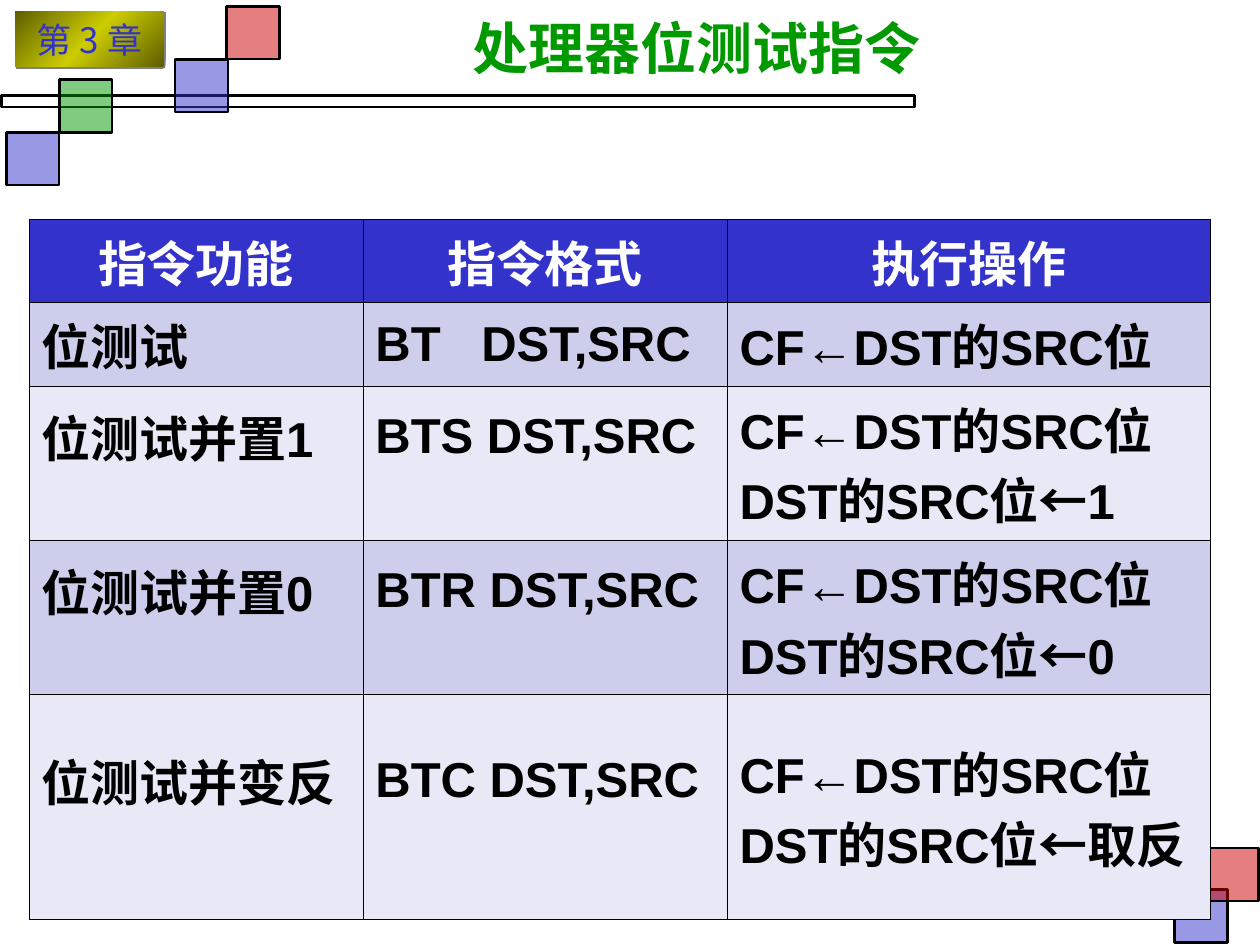
from copy import deepcopy

from lxml.etree import SubElement
from pptx import Presentation
from pptx.dml.color import RGBColor
from pptx.enum.shapes import MSO_SHAPE
from pptx.enum.text import MSO_ANCHOR, PP_ALIGN
from pptx.oxml.ns import qn
from pptx.util import Inches, Pt

BLUE, RED, GREEN, BLACK = "3333CC", "CC0000", "009900", "000000"
CJK = "Noto Sans CJK JP"
TITLE = "处理器位测试指令"
CHAPTER = "第 3 章"

SQUARE = 0.42
SQUARES = [  # left, top, colour
    (9.32, 7.06, BLUE), (9.57, 6.73, RED), (1.39, 0.47, BLUE),
    (0.05, 1.05, BLUE), (0.47, 0.63, GREEN), (1.8, 0.05, RED),
]

COLUMNS = [2.65, 2.89, 3.84]
ROW_HEIGHTS = [0.57, 0.57, 1.03, 1.03, 1.5]
FLAG = "CF←DST的SRC位"
ROWS = [
    ("指令功能", "指令格式", "执行操作"),
    ("位测试", "BT\tDST,SRC", FLAG),
    ("位测试并置1", "BTS DST,SRC", FLAG + "\nDST的SRC位←1"),
    ("位测试并置0", "BTR DST,SRC", FLAG + "\nDST的SRC位←0"),
    ("位测试并变反", "BTC DST,SRC", FLAG + "\nDST的SRC位←取反"),
]


def rgb(value):
    return RGBColor.from_string(value)


def add_run(p, text, size, color, font, bold=False):
    r = p.add_run()
    r.text = text
    r.font.size, r.font.bold, r.font.name = Pt(size), bold, font
    r.font.color.rgb = rgb(color)
    SubElement(r.font._element, qn("a:ea"), typeface=CJK)


def add_box(s, left, top, width, height, fill=None):
    """Black-outlined rectangle, empty or with a half-transparent fill."""
    sp = s.shapes.add_shape(MSO_SHAPE.RECTANGLE, Inches(left), Inches(top),
                            Inches(width), Inches(height))
    sp.shadow.inherit = False
    sp.line.color.rgb = rgb(BLACK)
    sp.line.width = Pt(1.5)
    if fill:
        sp.fill.solid()
        sp.fill.fore_color.rgb = rgb(fill)
        color = sp._element.spPr.find(qn("a:solidFill"))[0]
        SubElement(color, qn("a:alpha"), val="50000")
    else:
        sp.fill.background()
    return sp


def add_badge(s):
    sp = add_box(s, 0.12, 0.09, 1.18, 0.44)
    sp.line.fill.background()
    sp.fill.gradient()
    sp.fill.gradient_angle = 315
    stops = sp._element.spPr.find(qn("a:gradFill")).find(qn("a:gsLst"))
    stops.append(deepcopy(stops[0]))
    for stop, position, color in zip(sp.fill.gradient_stops, (0, 0.5, 1),
                                     ("5E5E00", "CCCC00", "5E5E00")):
        stop.position = position
        stop.color.rgb = rgb(color)
    effects = sp._element.spPr.find(qn("a:effectLst"))
    shadow = SubElement(effects, qn("a:outerShdw"), dist=str(Pt(1.4)),
                        dir="2700000", algn="ctr", rotWithShape="0")
    SubElement(shadow, qn("a:srgbClr"), val="808080")
    tf = sp.text_frame
    tf.vertical_anchor = MSO_ANCHOR.MIDDLE
    tf.paragraphs[0].alignment = PP_ALIGN.CENTER
    add_run(tf.paragraphs[0], CHAPTER, 20, BLUE, CJK)


def add_borders(cell):
    tcPr = cell._tc.get_or_add_tcPr()
    for i, side in enumerate(("lnL", "lnR", "lnT", "lnB")):
        ln = tcPr.makeelement(qn("a:" + side), {"w": str(Pt(0.45))})
        SubElement(SubElement(ln, qn("a:solidFill")), qn("a:srgbClr"), val=BLACK)
        tcPr.insert(i, ln)


def fill_cell(cell, text, row, col):
    header = row == 0
    cell.fill.solid()
    cell.fill.fore_color.rgb = rgb(BLUE if header else "CDCDEC" if row % 2 else "E8E8F6")
    cell.vertical_anchor = MSO_ANCHOR.MIDDLE
    if row > 1 and col < 2:  # lift the name and format towards the first line
        cell.margin_bottom = Inches(0.48)
    add_borders(cell)
    tf = cell.text_frame
    for i, line in enumerate(text.split("\n")):
        p = tf.add_paragraph() if i else tf.paragraphs[0]
        p.alignment = PP_ALIGN.CENTER if header else PP_ALIGN.LEFT
        if "\t" in line:
            tabs = SubElement(p._p.get_or_add_pPr(), qn("a:tabLst"))
            SubElement(tabs, qn("a:tab"), pos=str(Inches(0.84)), algn="l")
        add_run(p, line, 28, "FFFFFF" if header else BLACK, "Arial", True)


def add_instruction_table(s):
    table = s.shapes.add_table(len(ROWS), len(COLUMNS), Inches(0.23), Inches(1.74),
                               Inches(sum(COLUMNS)), Inches(sum(ROW_HEIGHTS))).table
    for column, width in zip(table.columns, COLUMNS):
        column.width = Inches(width)
    for row, height in zip(table.rows, ROW_HEIGHTS):
        row.height = Inches(height)
    for r, texts in enumerate(ROWS):
        for c, text in enumerate(texts):
            fill_cell(table.cell(r, c), text, r, c)


def main():
    prs = Presentation()
    prs.slide_width, prs.slide_height = Inches(10), Inches(7.5)
    s = prs.slides.add_slide(prs.slide_layouts[5])

    add_box(s, 0.01, 0.76, 7.25, 0.09)
    for left, top, color in SQUARES:
        add_box(s, left, top, SQUARE, SQUARE, color)
    add_badge(s)

    title = s.shapes.title
    title.left, title.top = Inches(2.24), Inches(0.06)
    title.width, title.height = Inches(6.58), Inches(0.62)
    tf = title.text_frame
    tf.vertical_anchor = MSO_ANCHOR.MIDDLE
    tf.paragraphs[0].alignment = PP_ALIGN.CENTER
    add_run(tf.paragraphs[0], TITLE, 32, GREEN, "Roboto", True)

    add_instruction_table(s)
    prs.save("out.pptx")


if __name__ == "__main__":
    main()
